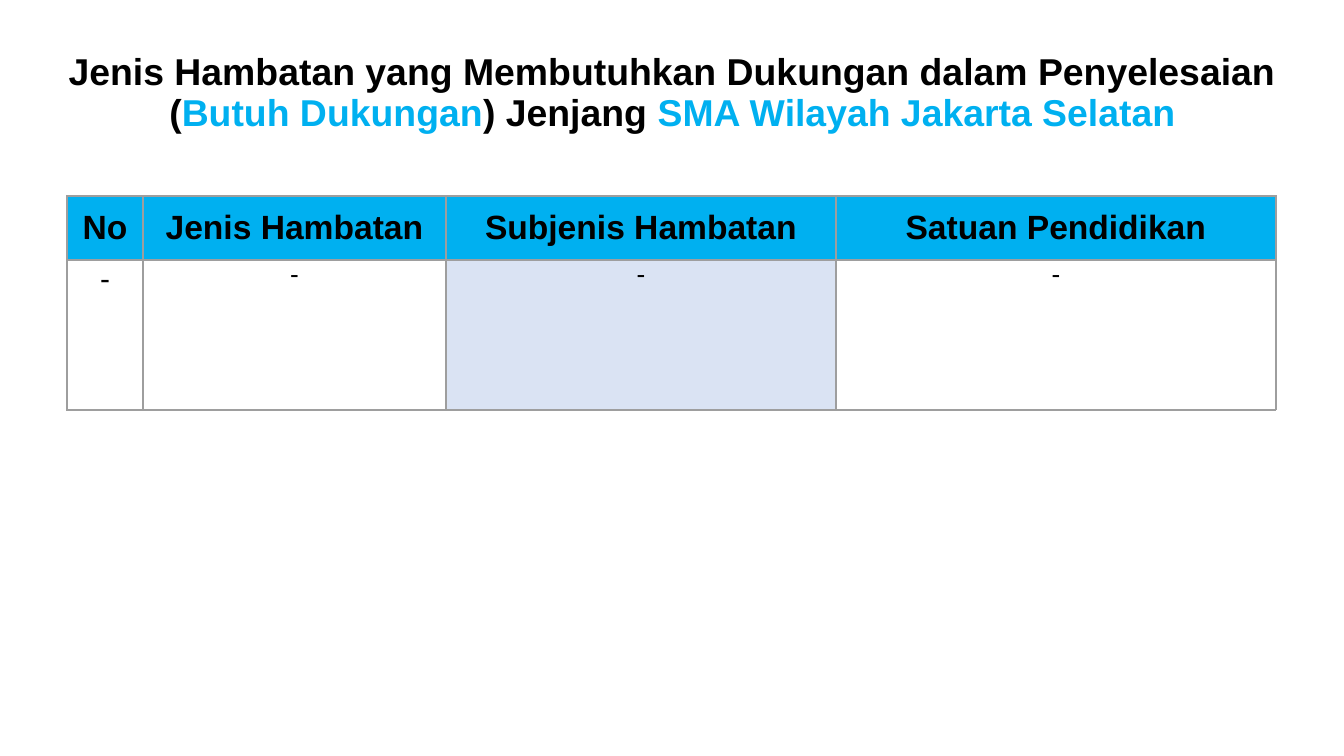
from lxml.etree import SubElement
from pptx import Presentation
from pptx.dml.color import RGBColor
from pptx.enum.text import MSO_ANCHOR as Anchor, PP_ALIGN as Align
from pptx.oxml.ns import qn
from pptx.util import Emu, Pt

PX_PER_INCH = 134.4
BLACK, SKY, PALE, GREY = "000000", "00B0F0", "DAE3F3", "9E9E9E"
TITLE = [
    ("Jenis Hambatan yang Membutuhkan Dukungan dalam Penyelesaian (", BLACK),
    ("Butuh Dukungan", SKY),
    (") Jenjang ", BLACK),
    ("SMA Wilayah Jakarta Selatan", SKY),
]
COLUMNS = [
    ("No", 76, 16, None),
    ("Jenis Hambatan", 303, 14, None),
    ("Subjenis Hambatan", 390, 14, PALE),
    ("Satuan Pendidikan", 440, 14, None),
]
HEADER_HEIGHT, BODY_HEIGHT = 64, 150


def px(length):
    """Turn pixels into EMU."""
    return Emu(round(length * 914400 / PX_PER_INCH))


def color(code):
    """Turn a hex string into a colour."""
    return RGBColor.from_string(code)


def add_run(paragraph, words, size, code=BLACK, bold=False):
    """Add one styled run to a paragraph."""
    run = paragraph.add_run()
    run.text = words
    run.font.name = "Arial"
    run.font.size = Pt(size)
    run.font.bold = bold
    run.font.color.rgb = color(code)


def set_margins(holder, side, top, bottom):
    """Set the inner margins of a text frame or cell."""
    holder.margin_left = holder.margin_right = px(side)
    holder.margin_top, holder.margin_bottom = px(top), px(bottom)


def add_title(slide):
    """Add the centred two-colour heading."""
    frame = slide.shapes.add_textbox(px(51), px(33), px(1243), px(122)).text_frame
    frame.word_wrap = True
    frame.vertical_anchor = Anchor.MIDDLE
    set_margins(frame, 9, 5, 5)
    heading = frame.paragraphs[0]
    heading.alignment = Align.CENTER
    heading.line_spacing = 0.9
    for words, code in TITLE:
        add_run(heading, words, 20, code, bold=True)


def add_borders(cell):
    """Draw a thin grey line on all four sides of a cell."""
    properties = cell._tc.get_or_add_tcPr()
    for side in ("lnL", "lnR", "lnT", "lnB"):
        line = SubElement(properties, qn(f"a:{side}"), w=str(Pt(0.75)))
        fill = SubElement(line, qn("a:solidFill"))
        SubElement(fill, qn("a:srgbClr"), val=GREY)


def fill_cell(cell, words, size, background, header=False):
    """Style one table cell and write its text."""
    add_borders(cell)
    if background:
        cell.fill.solid()
        cell.fill.fore_color.rgb = color(background)
    else:
        cell.fill.background()
    cell.vertical_anchor = Anchor.MIDDLE if header else Anchor.TOP
    set_margins(cell, 1 if header else 0, 0, 0)
    paragraph = cell.text_frame.paragraphs[0]
    paragraph.alignment = Align.CENTER
    if size == 16:
        paragraph.line_spacing = 1.07
    add_run(paragraph, words, size, bold=header)


def add_obstacle_table(slide):
    """Add the table of obstacles with its header and single row."""
    width = sum(column[1] for column in COLUMNS)
    height = HEADER_HEIGHT + BODY_HEIGHT
    table = slide.shapes.add_table(
        2, len(COLUMNS), px(67), px(196), px(width), px(height)
    ).table
    table.first_row = table.horz_banding = False
    table.rows[0].height, table.rows[1].height = px(HEADER_HEIGHT), px(BODY_HEIGHT)
    for index, (label, column_width, size, background) in enumerate(COLUMNS):
        table.columns[index].width = px(column_width)
        fill_cell(table.cell(0, index), label, 18, SKY, header=True)
        fill_cell(table.cell(1, index), "-", size, background)


def main():
    """Build and save the slide."""
    deck = Presentation()
    deck.slide_width, deck.slide_height = px(1344), px(756)
    slide = deck.slides.add_slide(deck.slide_layouts[6])
    add_title(slide)
    add_obstacle_table(slide)
    deck.save("out.pptx")


if __name__ == "__main__":
    main()
